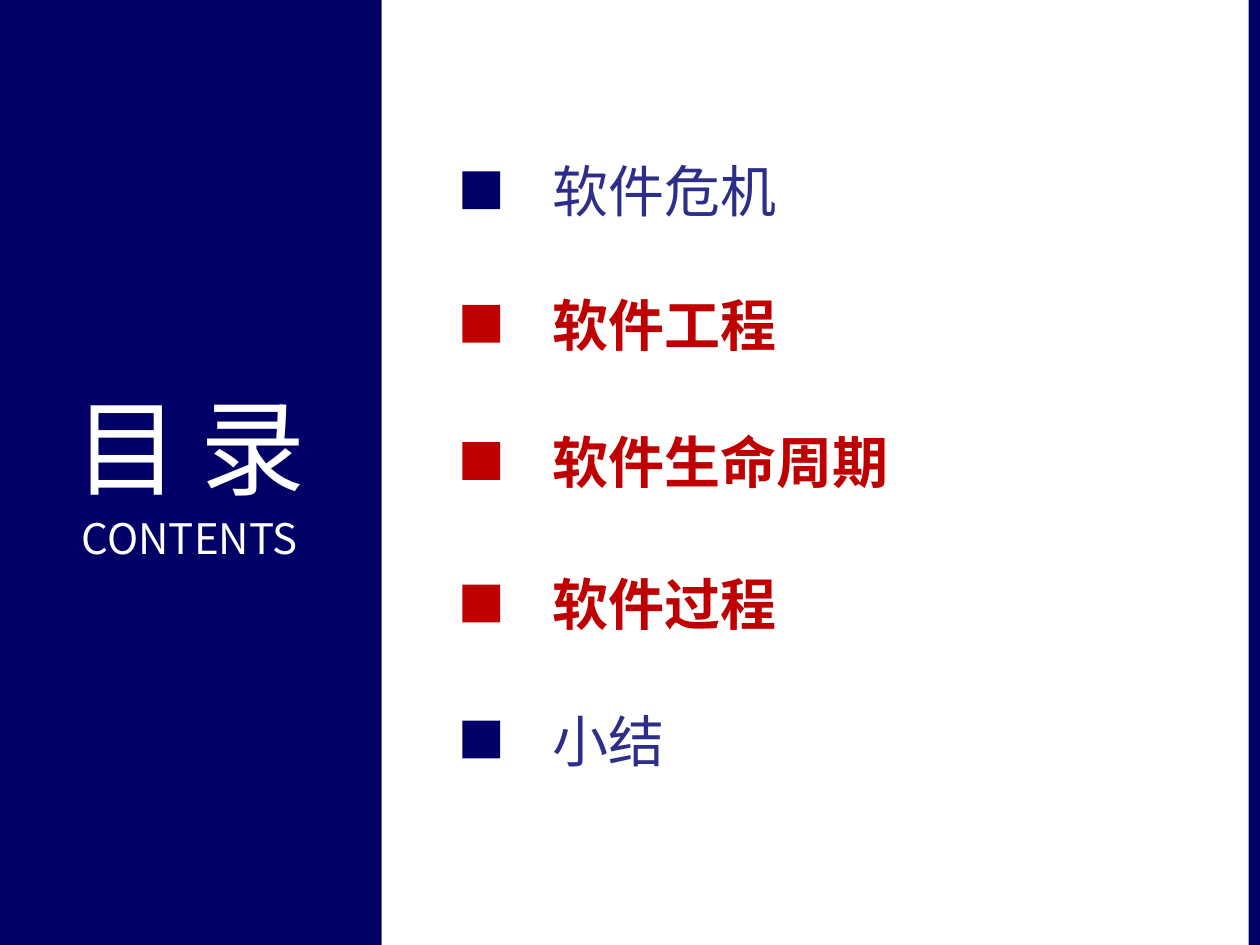
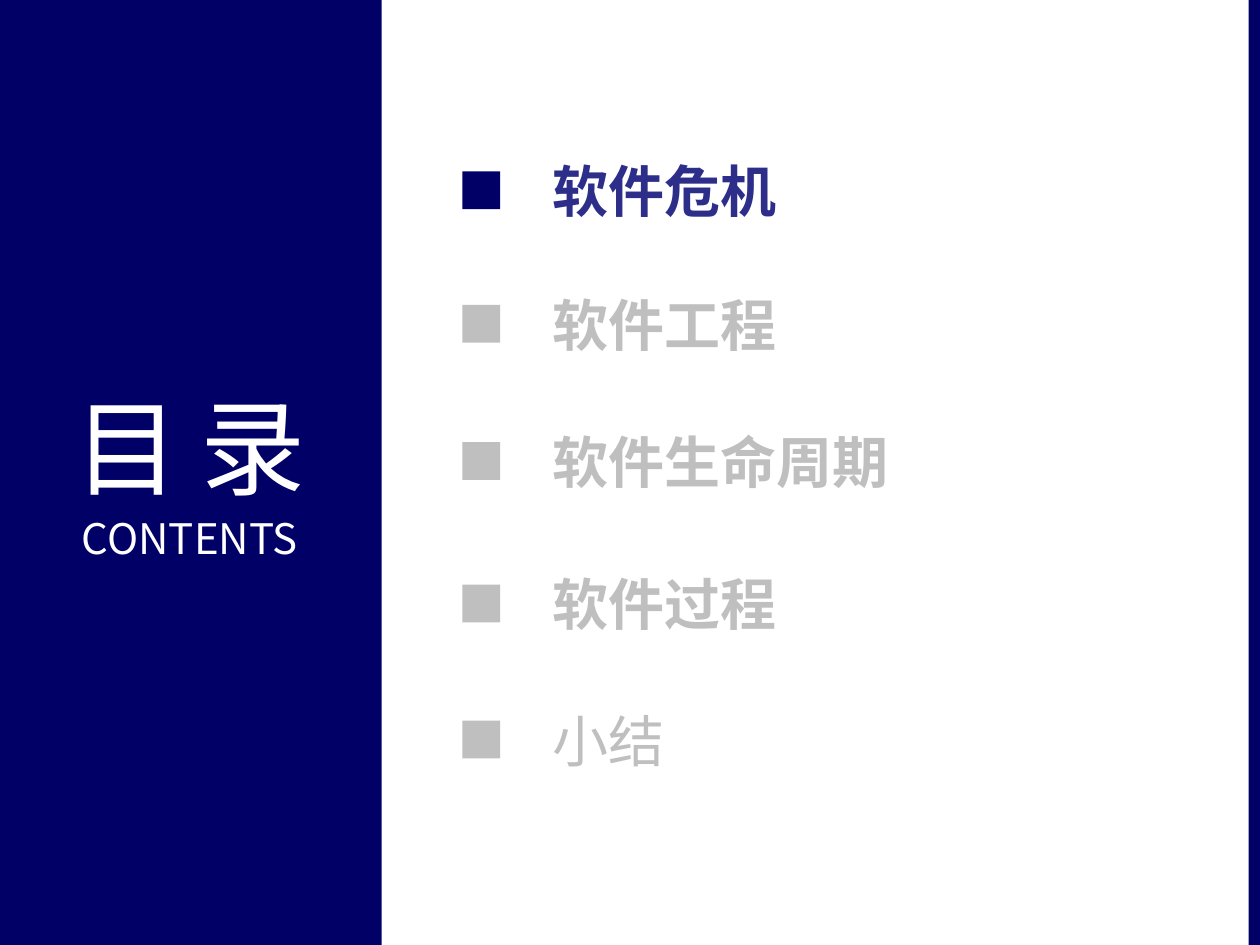
from dataclasses import dataclass

from pptx import Presentation
from pptx import util as u
from pptx.dml.color import RGBColor
from pptx.enum import shapes, text


@dataclass(frozen=True)
class Theme:
    font: str = "Noto Sans CJK SC"
    navy: str = "000066"
    indigo: str = "2D2D8A"
    red: str = "C00000"
    grey: str = "BFBFBF"
    white: str = "FFFFFF"
    heading_size: int = 60
    subheading_size: int = 24
    topic_size: int = 32


THEME = Theme()
PANEL_LEFT, PANEL_WIDTH = -0.02, 3.05
MARKER_SIZE = 0.3
TOPIC_HEIGHT = 0.64
TOPICS = ["软件危机", "软件工程", "软件生命周期", "软件过程", "小结"]
TOPIC_CENTERS = [1.51, 2.57, 3.66, 4.79, 5.87]

NORMAL = (THEME.navy, THEME.indigo, False)
CURRENT = (THEME.navy, THEME.indigo, True)
KEY = (THEME.red, THEME.red, True)
MUTED = (THEME.grey, THEME.grey, True)
MUTED_LIGHT = (THEME.grey, THEME.grey, False)
AGENDAS = [
    [NORMAL, KEY, KEY, KEY, NORMAL],
    [CURRENT, MUTED, MUTED, MUTED, MUTED_LIGHT],
]


def add_block(slide, left, top, width, height, color):
    shape = slide.shapes.add_shape(
        shapes.MSO_SHAPE.RECTANGLE, *map(u.Inches, (left, top, width, height)))
    shape.shadow.inherit = False
    shape.fill.solid()
    shape.fill.fore_color.rgb = RGBColor.from_string(color)
    shape.line.fill.background()


def add_frame(slide, left, top, width, height):
    frame = slide.shapes.add_textbox(
        *map(u.Inches, (left, top, width, height))).text_frame
    frame.word_wrap = True
    frame.vertical_anchor = text.MSO_ANCHOR.MIDDLE
    return frame


def write(paragraph, words, *, size, color, bold=False, spacing=0,
          align=text.PP_ALIGN.LEFT, before=0):
    paragraph.alignment = align
    if before:
        paragraph.space_before = u.Pt(before)
    run = paragraph.add_run()
    run.text = words
    run.font.name = THEME.font
    run.font.size = u.Pt(size)
    run.font.bold = bold
    run.font.color.rgb = RGBColor.from_string(color)
    properties = run.font._element
    if spacing:
        properties.set("spc", str(spacing * 100))
    east_asian = properties.makeelement(
        "{http://schemas.openxmlformats.org/drawingml/2006/main}ea",
        {"typeface": THEME.font})
    properties.append(east_asian)


def add_contents_panel(slide):
    add_block(slide, PANEL_LEFT, 0, PANEL_WIDTH, 7.5, THEME.navy)
    frame = add_frame(slide, PANEL_LEFT, 2.89, PANEL_WIDTH, 1.72)
    center = text.PP_ALIGN.CENTER
    write(frame.paragraphs[0], "目录", size=THEME.heading_size,
          color=THEME.white, spacing=12, align=center)
    write(frame.add_paragraph(), "CONTENTS", size=THEME.subheading_size,
          color=THEME.white, align=center, before=2)
    add_block(slide, 9.91, 0, 0.09, 7.5, THEME.navy)


def add_topic(slide, topic, center, style):
    marker_color, text_color, bold = style
    add_block(slide, 3.67, center - MARKER_SIZE / 2,
              MARKER_SIZE, MARKER_SIZE, marker_color)
    frame = add_frame(slide, 4.29, center - TOPIC_HEIGHT / 2,
                      4.84, TOPIC_HEIGHT)
    write(frame.paragraphs[0], topic, size=THEME.topic_size,
          color=text_color, bold=bold)


def main():
    presentation = Presentation()
    presentation.slide_width = u.Inches(10)
    presentation.slide_height = u.Inches(7.5)
    for styles in AGENDAS:
        slide = presentation.slides.add_slide(presentation.slide_layouts[6])
        add_contents_panel(slide)
        for topic, center, style in zip(TOPICS, TOPIC_CENTERS, styles):
            add_topic(slide, topic, center, style)
    presentation.save("out.pptx")


if __name__ == "__main__":
    main()
